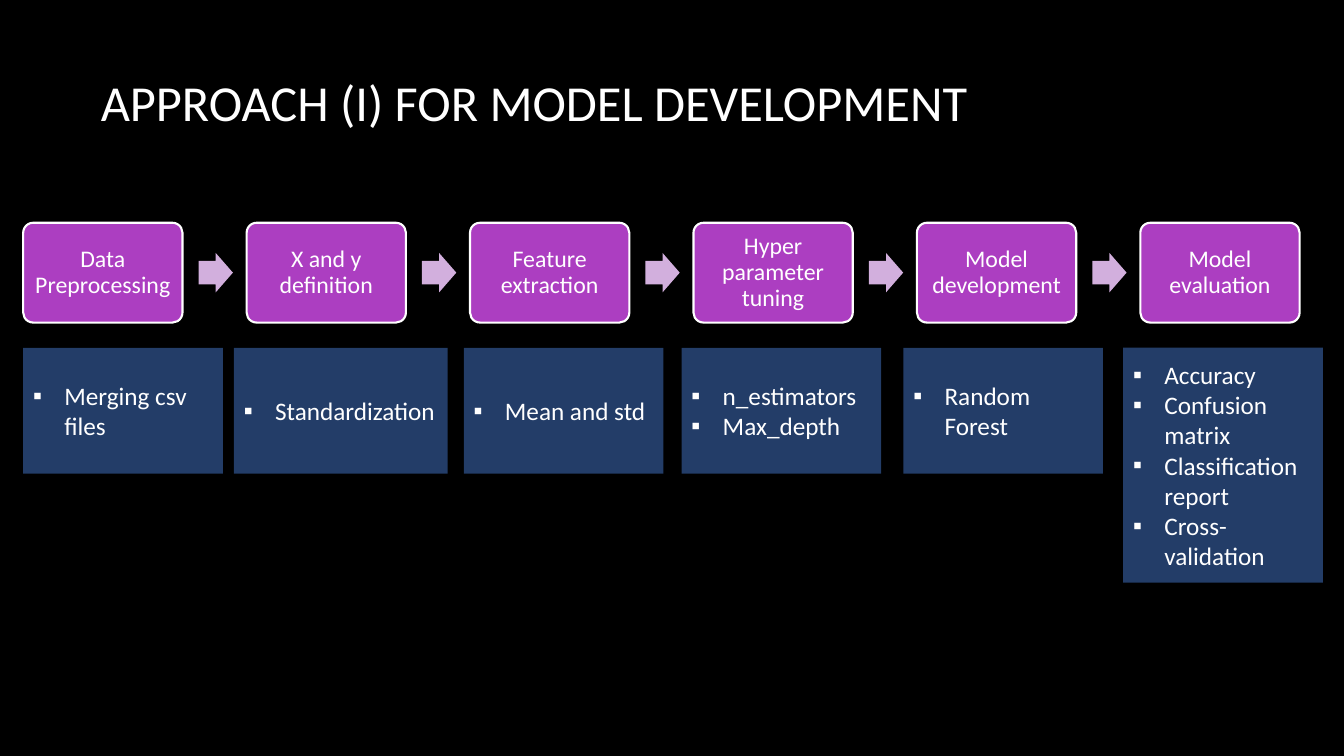
from lxml import etree
from pptx import Presentation
from pptx.dml.color import RGBColor
from pptx.enum.shapes import MSO_SHAPE
from pptx.enum.text import MSO_ANCHOR, PP_ALIGN
from pptx.oxml.ns import qn
from pptx.util import Inches, Pt

ROUNDED = MSO_SHAPE.ROUNDED_RECTANGLE
RECTANGLE = MSO_SHAPE.RECTANGLE
ARROW = MSO_SHAPE.RIGHT_ARROW
MIDDLE = MSO_ANCHOR.MIDDLE
LEFT = PP_ALIGN.LEFT
CENTER = PP_ALIGN.CENTER

FONT = "Calibri"
COLORS = {
    "background": "000000",
    "text": "FFFFFF",
    "step": "AC3EC1",
    "arrow": "D2AFDD",
    "detail": "477BD1",
}

STEP_LEFT = 0.23
STEP_PITCH = (11.31 - STEP_LEFT) / 5
ARROW_OFFSET = 1.74
DETAIL_TOP = 3.45
BULLET_INDENT = 0.31

STEPS = [
    "Data Preprocessing",
    "X and y definition",
    "Feature extraction",
    "Hyper parameter tuning",
    "Model development",
    "Model evaluation",
]
DETAILS = [
    (0.23, 1.98, 1.25, ["Merging csv files"]),
    (2.32, 2.12, 1.25, ["Standardization"]),
    (4.6, 1.98, 1.25, ["Mean and std"]),
    (6.76, 1.98, 1.25, ["n_estimators", "Max_depth"]),
    (8.96, 1.98, 1.25, ["Random Forest"]),
    (11.14, 1.98, 2.33, ["Accuracy", "Confusion matrix",
                         "Classification report", "Cross-validation"]),
]


def color(name):
    return RGBColor.from_string(COLORS[name])


def add_run(paragraph, text, size, alignment):
    paragraph.alignment = alignment
    run = paragraph.add_run()
    run.text = text
    run.font.name = FONT
    run.font.size = Pt(size)
    run.font.color.rgb = color("text")


def add_title(slide, text):
    title = slide.shapes.title
    title.left, title.top = Inches(0.9), Inches(0.2)
    title.width, title.height = Inches(10.83), Inches(1.62)
    title.text_frame.vertical_anchor = MIDDLE
    add_run(title.text_frame.paragraphs[0], text, 36, LEFT)


def add_filled_shape(slide, kind, left, top, width, height, fill):
    shape = slide.shapes.add_shape(
        kind, Inches(left), Inches(top), Inches(width), Inches(height))
    shape.shadow.inherit = False
    shape.fill.solid()
    shape.fill.fore_color.rgb = color(fill)
    shape.line.fill.background()
    shape.text_frame.word_wrap = True
    shape.text_frame.vertical_anchor = MIDDLE
    return shape


def add_step(slide, left, text):
    step = add_filled_shape(slide, ROUNDED, left, 2.21, 1.58, 0.99, "step")
    step.adjustments[0] = 0.1
    step.line.color.rgb = color("text")
    step.line.width = Pt(1.5)
    frame = step.text_frame
    frame.margin_left = frame.margin_right = Inches(0.09)
    frame.margin_top = frame.margin_bottom = Inches(0.07)
    paragraph = frame.paragraphs[0]
    paragraph.line_spacing = 0.9
    add_run(paragraph, text, 17, CENTER)


def add_arrow(slide, left):
    arrow = add_filled_shape(slide, ARROW, left, 2.51, 0.34, 0.39, "arrow")
    arrow.adjustments[0] = 0.6
    arrow.adjustments[1] = 0.5


def set_half_transparent(shape):
    fill_color = shape.fill._xPr.find(qn("a:solidFill"))[0]
    etree.SubElement(fill_color, qn("a:alpha"), val="50000")


def set_bullet(paragraph):
    properties = paragraph._p.get_or_add_pPr()
    properties.set("marL", str(Inches(BULLET_INDENT)))
    properties.set("indent", str(-Inches(BULLET_INDENT)))
    etree.SubElement(properties, qn("a:buFont"), typeface="Wingdings")
    etree.SubElement(properties, qn("a:buChar"), char="▪")
    properties.find(qn("a:buFont")).set("typeface", FONT)


def add_detail(slide, left, width, height, items):
    detail = add_filled_shape(
        slide, RECTANGLE, left, DETAIL_TOP, width, height, "detail")
    set_half_transparent(detail)
    frame = detail.text_frame
    for index, item in enumerate(items):
        paragraph = frame.add_paragraph() if index else frame.paragraphs[0]
        set_bullet(paragraph)
        add_run(paragraph, item, 18, LEFT)


def main():
    presentation = Presentation()
    presentation.slide_width = Inches(13.33)
    presentation.slide_height = Inches(7.5)
    slide = presentation.slides.add_slide(presentation.slide_layouts[5])
    slide.background.fill.solid()
    slide.background.fill.fore_color.rgb = color("background")

    add_title(slide, "APPROACH (I) FOR MODEL DEVELOPMENT")
    for index, text in enumerate(STEPS):
        left = STEP_LEFT + index * STEP_PITCH
        add_step(slide, left, text)
        if index < len(STEPS) - 1:
            add_arrow(slide, left + ARROW_OFFSET)
    for left, width, height, items in DETAILS:
        add_detail(slide, left, width, height, items)

    presentation.save("out.pptx")


if __name__ == "__main__":
    main()
